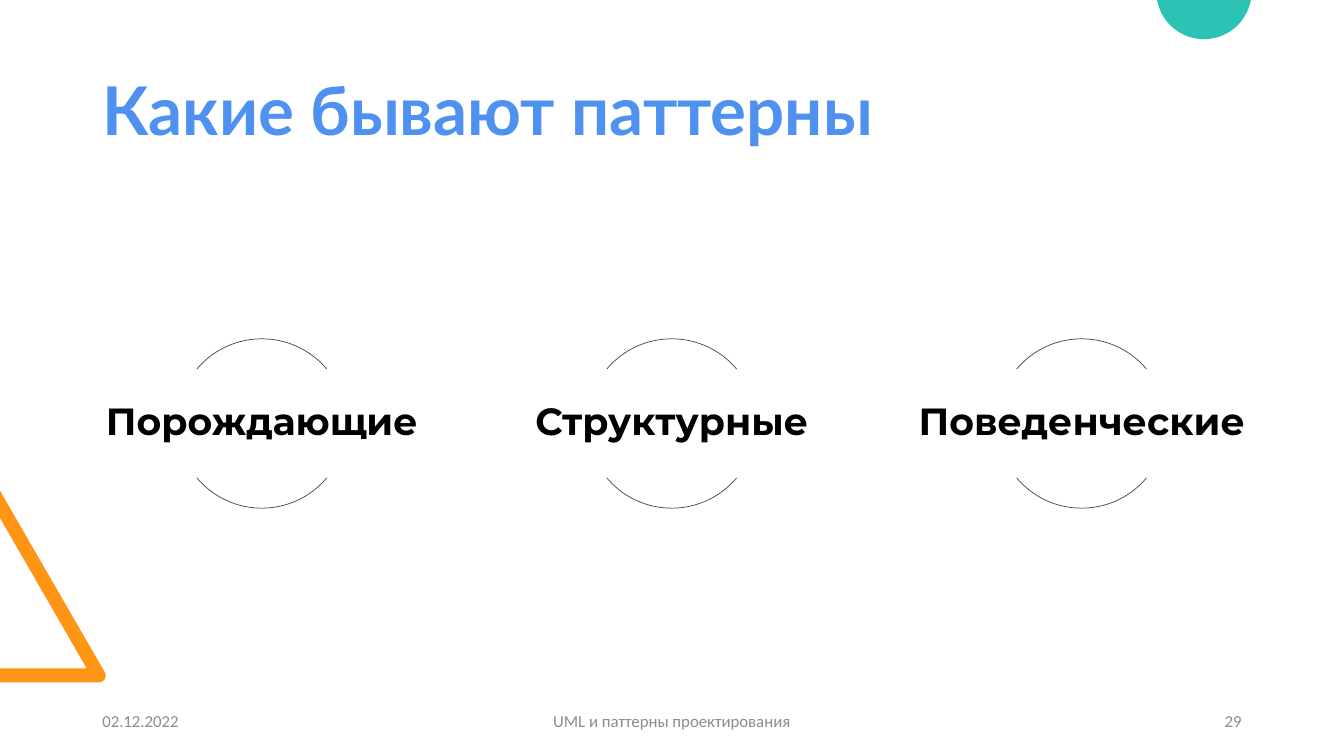
import math
import pptx
import pptx.dml.color
import pptx.enum.shapes
import pptx.enum.text
import pptx.util

Pt = pptx.util.Pt
Align = pptx.enum.text.PP_ALIGN
COLORS = {
    "title": "4E91F0",
    "label": "000000",
    "footer": "8C8C8C",
    "arc": "49424D",
    "triangle": "FF9514",
    "circle": "2CC3B4",
}


def add_text(text, box, font, size, color, bold=False, align=Align.LEFT,
             spacing=1.0, after=0, inset=None):
    shape = slide.shapes.add_textbox(*[Pt(value) for value in box])
    frame = shape.text_frame
    frame.word_wrap = True
    frame.vertical_anchor = pptx.enum.text.MSO_ANCHOR.MIDDLE
    if inset is not None:
        frame.margin_left = frame.margin_right = Pt(inset)
        frame.margin_top = frame.margin_bottom = Pt(inset)
    paragraph = frame.paragraphs[0]
    paragraph.alignment = align
    paragraph.line_spacing = spacing
    paragraph.space_after = Pt(after)
    run = paragraph.add_run()
    run.text = text
    run.font.name = font
    run.font.size = Pt(size)
    run.font.bold = bold
    run.font.color.rgb = pptx.dml.color.RGBColor.from_string(COLORS[color])


def add_outline(points, color):
    corners = [(Pt(x), Pt(y)) for x, y in points]
    builder = slide.shapes.build_freeform(*corners[0], scale=1.0)
    builder.add_line_segments(corners[1:], close=True)
    shape = builder.convert_to_shape()
    shape.shadow.inherit = False
    shape.fill.solid()
    shape.fill.fore_color.rgb = pptx.dml.color.RGBColor.from_string(COLORS[color])
    shape.line.fill.background()


presentation = pptx.Presentation()
presentation.slide_width = Pt(960)
presentation.slide_height = Pt(540)
slide = presentation.slides.add_slide(presentation.slide_layouts[6])

add_outline([(0, 487.4), (0, 477.4), (61.9, 477.4), (0, 370.1), (0, 350.6),
             (74.9, 480.2), (75.5, 481.8), (75.5, 483.4), (74.8, 485.2),
             (73.2, 486.7), (70.8, 487.4)], "triangle")

start = math.asin(6 / 34)
steps = 48
angles = [start + (math.pi - 2 * start) * step / steps for step in range(steps + 1)]
add_outline([(860 + 34 * math.cos(angle), 34 * math.sin(angle) - 6)
             for angle in angles], "circle")

add_text("Какие бывают паттерны", (66, 28.8, 828, 104.4), "Lato", 48, "title",
         bold=True, spacing=0.9)

label_width, arc_size = 242, 121
for index, label in enumerate(["Порождающие", "Структурные", "Поведенческие"]):
    left = 66 + 292.8 * index
    for angle_pair in [(132, 192), (24, 84)]:
        arc = slide.shapes.add_shape(
            pptx.enum.shapes.MSO_SHAPE.ARC,
            Pt(left + (label_width - arc_size) / 2), Pt(242),
            Pt(arc_size), Pt(arc_size))
        arc.adjustments[0], arc.adjustments[1] = angle_pair
        arc.shadow.inherit = False
        arc.fill.background()
        arc.line.color.rgb = pptx.dml.color.RGBColor.from_string(COLORS["arc"])
        arc.line.width = Pt(0.5)
    add_text(label, (left, 263.6, label_width, 77.6), "Montserrat", 27, "label",
             bold=True, align=Align.CENTER, spacing=0.9, after=9.45, inset=1.35)

for text, left, width, align in [
    ("02.12.2022", 66, 216, Align.LEFT),
    ("UML и паттерны проектирования", 318, 324, Align.CENTER),
    ("29", 678, 216, Align.RIGHT),
]:
    add_text(text, (left, 500.5, width, 28.75), "Calibri", 12, "footer",
             align=align, after=6)

presentation.save("out.pptx")
